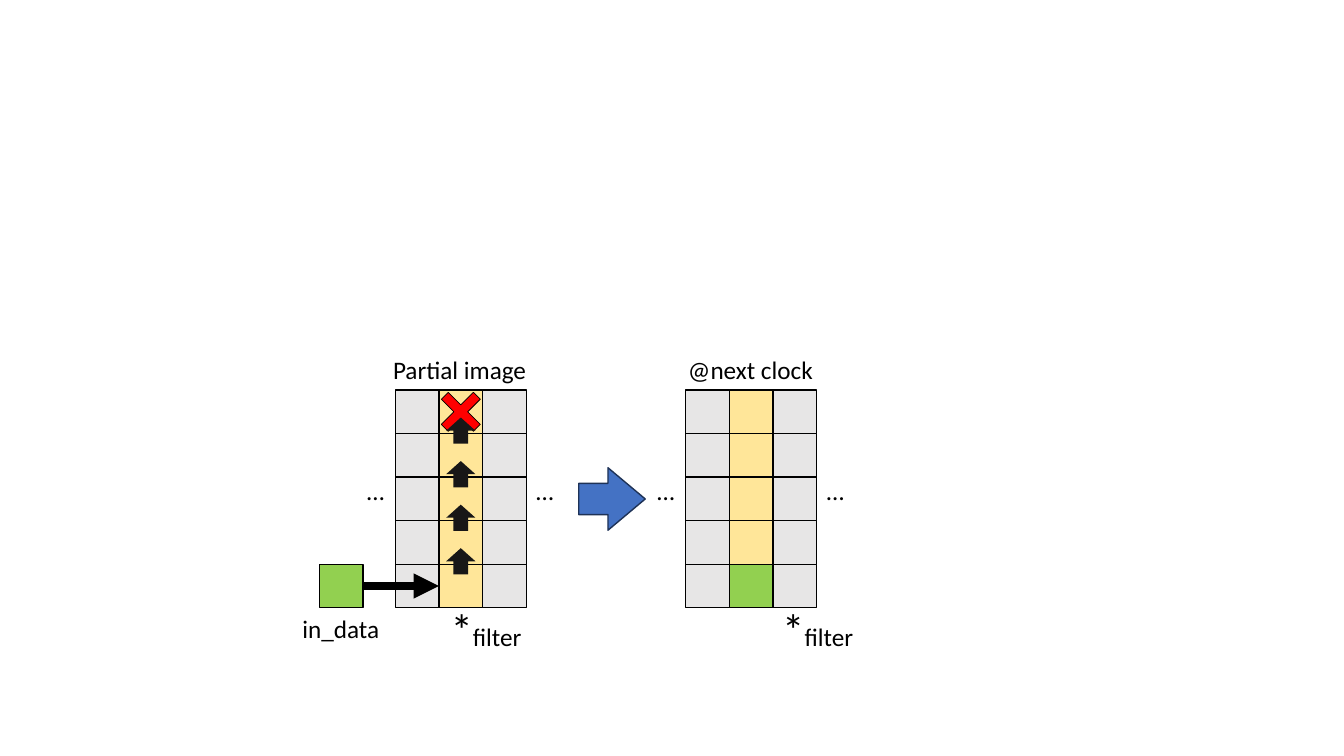
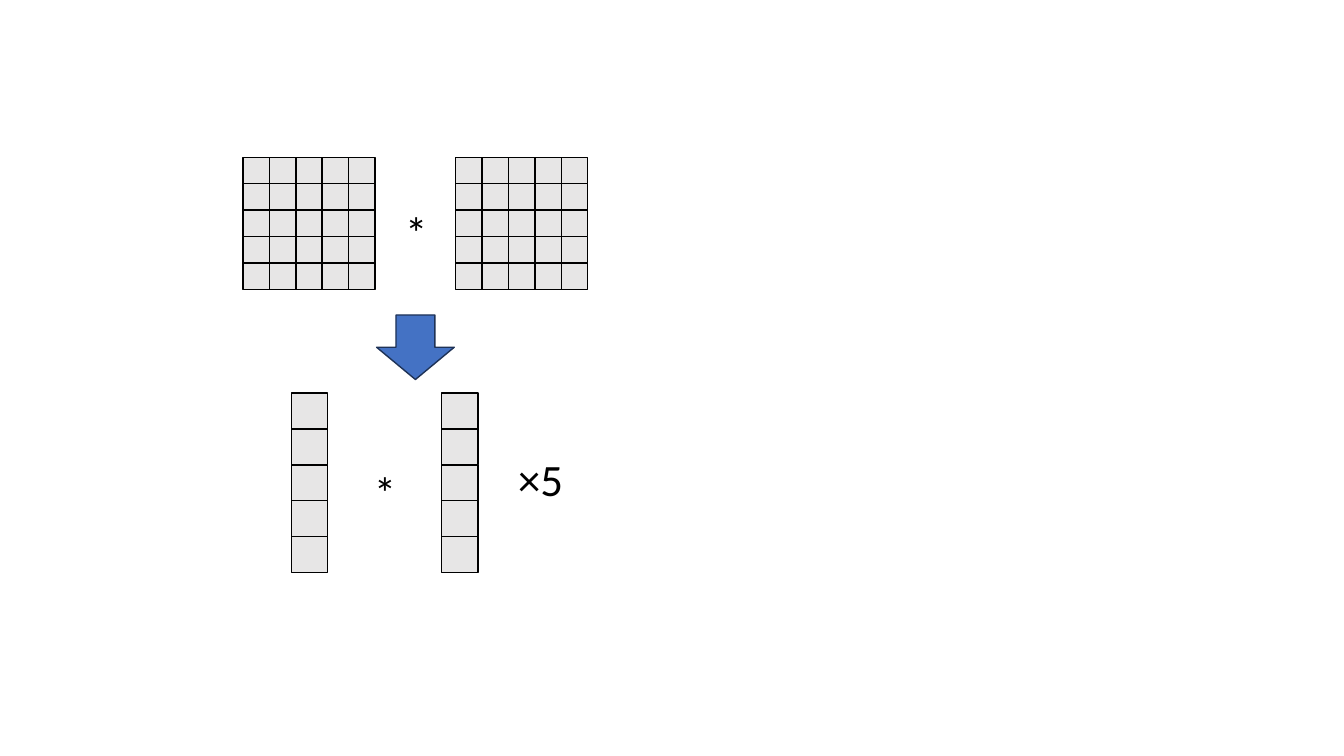
from dataclasses import dataclass

from lxml import etree
from pptx import Presentation
from pptx.dml.color import RGBColor as RGB
from pptx.enum.shapes import MSO_CONNECTOR as CONN, MSO_SHAPE as SHAPE
from pptx.enum.text import MSO_ANCHOR as ANCHOR, MSO_AUTO_SIZE as FIT
from pptx.oxml.ns import qn
from pptx.util import Inches, Pt


@dataclass(frozen=True)
class Theme:
    font: str = "Calibri"
    text: str = "000000"
    edge: str = "000000"
    cell: str = "E7E6E6"
    column: str = "FFE699"
    data: str = "92D050"
    shift: str = "181717"
    cross: str = "FF0000"
    step: str = "4472C4"
    step_edge: str = "1E3256"
    label_size: int = 18
    symbol_size: int = 32
    thin: float = 0.5
    line: float = 1
    thick: float = 6


T = Theme()
ROWS = 5
LABEL_H, SYMBOL_H = 0.4, 0.64


def add_shape(shapes, kind, x, y, w, h, fill, edge=None, weight=T.line, rotation=0):
    sp = shapes.add_shape(kind, Inches(x), Inches(y), Inches(w), Inches(h))
    sp.shadow.inherit = False
    sp.rotation = rotation
    sp.fill.solid()
    sp.fill.fore_color.rgb = RGB.from_string(fill)
    if edge:
        sp.line.color.rgb = RGB.from_string(edge)
        sp.line.width = Pt(weight)
    else:
        sp.line.fill.background()
    return sp


def add_text(slide, x, y, w, h, *runs, wrap=False, anchor=ANCHOR.TOP):
    """Add one left-aligned paragraph made of (text, size) runs."""
    tf = slide.shapes.add_textbox(Inches(x), Inches(y), Inches(w), Inches(h)).text_frame
    tf.word_wrap = wrap
    tf.auto_size = FIT.SHAPE_TO_FIT_TEXT
    tf.vertical_anchor = anchor
    for text, size in runs:
        r = tf.paragraphs[0].add_run()
        r.text = text
        r.font.name = T.font
        r.font.size = Pt(size)
        r.font.color.rgb = RGB.from_string(T.text)


def add_label(slide, x, y, w, text):
    add_text(slide, x, y, w, LABEL_H, (text, T.label_size))


def add_symbol(slide, x, y, w, symbol, *more):
    add_text(slide, x, y, w, SYMBOL_H, (symbol, T.symbol_size), *more,
             wrap=True, anchor=ANCHOR.MIDDLE)


def add_grid(slide, x, y, w, h, cols, fills=None):
    """Fill a box with grouped cells; fills maps (row, column) to a colour."""
    fills = fills or {}
    group = slide.shapes.add_group_shape()
    cw, ch = w / cols, h / ROWS
    return {(row, col): add_shape(group.shapes, SHAPE.RECTANGLE, x + col * cw, y + row * ch,
                                  cw, ch, fills.get((row, col), T.cell), T.edge)
            for row in range(ROWS) for col in range(cols)}


def add_step_arrow(slide, x, y, w, h, head=0.5, rotation=0):
    sp = add_shape(slide.shapes, SHAPE.RIGHT_ARROW, x, y, w, h,
                   T.step, T.step_edge, rotation=rotation)
    sp.adjustments[1] = head


def add_input_arrow(slide, source, target):
    cx = slide.shapes.add_connector(CONN.STRAIGHT, 0, 0, 0, 0)
    cx.begin_connect(source, 3)
    cx.end_connect(target, 1)
    cx.line.color.rgb = RGB.from_string(T.edge)
    cx.line.width = Pt(T.thick)
    etree.SubElement(cx.line._get_or_add_ln(), qn("a:tailEnd"), type="triangle")
    etree.SubElement(cx._element.spPr, qn("a:effectLst"))


def add_image_panel(slide, x, y, w, h, title, title_w, filter_dx, last_fill):
    """Draw a strip of the image with its heading, ellipses and filter label."""
    fills = {(row, 1): T.column for row in range(ROWS - 1)}
    fills[ROWS - 1, 1] = last_fill
    cells = add_grid(slide, x, y, w, h, 3, fills)
    add_label(slide, x + (w - title_w) / 2, y - LABEL_H, title_w, title)
    dots_w = 0.38
    for dots_x in (x - dots_w, x + w):
        add_label(slide, dots_x, y + 0.8, dots_w, "…")
    add_symbol(slide, x + filter_dx, y + 2.05, 1.14, "*", ("filter", T.label_size))
    return cells


def add_shift_marks(slide, x, y, w, h):
    """Mark the column box: values move one row up and the top one drops out."""
    mid, row_h = x + w / 2, h / ROWS
    size, aw, ah = 0.45, 0.26, 0.29
    cross = add_shape(slide.shapes, SHAPE.CROSS, mid - size / 2, y + (row_h - size) / 2,
                      size, size, T.cross, T.edge, T.thin, rotation=45)
    cross.adjustments[0] = 0.392
    for row in range(1, ROWS):
        add_shape(slide.shapes, SHAPE.RIGHT_ARROW, mid - aw / 2,
                  y + row * row_h - 0.03 - ah / 2, aw, ah, T.shift, rotation=270)


def add_input(slide, x, y, size, target):
    sp = add_shape(slide.shapes, SHAPE.RECTANGLE, x, y, size, size, T.data, T.edge)
    label_w = 0.97
    add_label(slide, x + (size - label_w) / 2, y + 0.44, label_w, "in_data")
    add_input_arrow(slide, sp, target)


def build_shift_slide(slide):
    x, y, w, h = 3.92, 3.87, 1.3, 2.16
    cells = add_image_panel(slide, x, y, w, h, "Partial image", 1.54, 0.45, T.column)
    add_input(slide, 3.17, y + h * (ROWS - 1) / ROWS, h / ROWS, cells[ROWS - 1, 1])
    add_shift_marks(slide, x + w / 3, y, w / 3, h)
    add_step_arrow(slide, 5.74, 4.64, 0.66, 0.62, head=0.596)
    add_image_panel(slide, 6.8, y, w, h, "@next clock", 1.45, 0.86, T.data)


def add_product(slide, y, w, h, cols, lefts, sign_x, sign_y):
    """Draw two equal grids with a multiplication sign between them."""
    for x in lefts:
        add_grid(slide, x, y, w, h, cols)
    add_symbol(slide, sign_x, sign_y, 0.4, "*")


def build_split_slide(slide):
    add_product(slide, 1.56, 1.31, 1.31, 5, (2.41, 4.52), 3.92, 1.98)
    add_step_arrow(slide, 3.8, 3.06, 0.64, 0.77, rotation=90)
    add_product(slide, 3.9, 0.36, 1.78, 1, (2.89, 4.38), 3.61, 4.56)
    add_symbol(slide, 5.04, 4.43, 0.94, "×5")


def main():
    prs = Presentation()
    prs.slide_width, prs.slide_height = Inches(13.33), Inches(7.5)
    blank = prs.slide_layouts[6]
    for build in (build_shift_slide, build_split_slide):
        build(prs.slides.add_slide(blank))
    prs.save("out.pptx")


if __name__ == "__main__":
    main()
